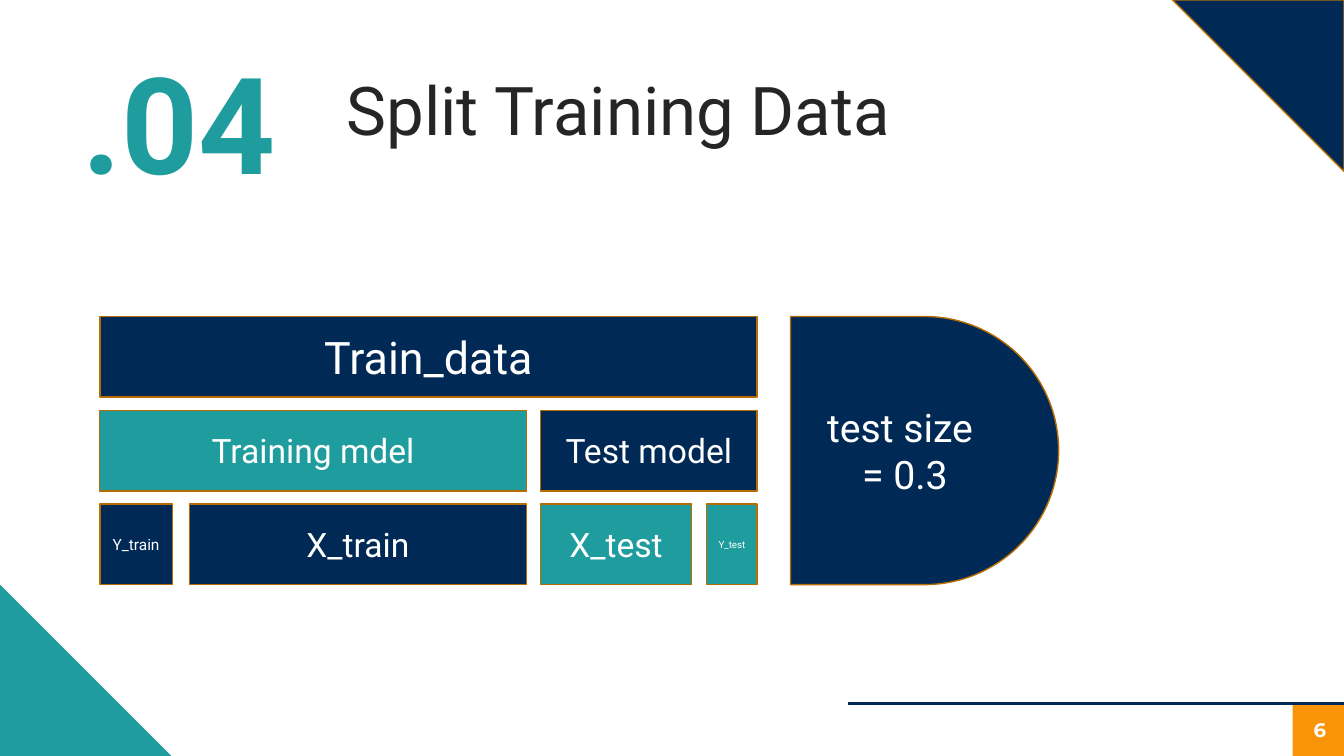
from lxml import etree
from pptx import Presentation
from pptx.dml.color import RGBColor
from pptx.enum.shapes import MSO_CONNECTOR, MSO_SHAPE
from pptx.enum.text import MSO_ANCHOR, PP_ALIGN
from pptx.oxml.ns import qn
from pptx.util import Inches, Pt

NAVY = RGBColor(0x00, 0x29, 0x56)
TEAL = RGBColor(0x1F, 0x9D, 0x9E)
ORANGE = RGBColor(0xF8, 0x94, 0x06)
BRONZE = RGBColor(0xB7, 0x6D, 0x04)
CHARCOAL = RGBColor(0x24, 0x25, 0x27)
WHITE = RGBColor(0xFF, 0xFF, 0xFF)

RECTANGLE = MSO_SHAPE.RECTANGLE
TRIANGLE = MSO_SHAPE.RIGHT_TRIANGLE
DELAY = MSO_SHAPE.FLOWCHART_DELAY
LEFT, CENTER, RIGHT = PP_ALIGN.LEFT, PP_ALIGN.CENTER, PP_ALIGN.RIGHT
MIDDLE = MSO_ANCHOR.MIDDLE

SLIDE_WIDTH, SLIDE_HEIGHT = 13.33, 7.5
CORNER = 1.7
BADGE = 0.51
ROW_TOP, ROW_HEIGHT, ROW_PITCH = 3.14, 0.8, 0.93
DELAY_SIZE = 2 * ROW_PITCH + ROW_HEIGHT

# Each row: label, left, width, fill, text size
SPLIT_ROWS = [
    [("Train_data", 0.99, 6.52, NAVY, 32)],
    [("Training mdel", 0.99, 4.23, TEAL, 24),
     ("Test model", 5.36, 2.15, NAVY, 24)],
    [("Y_train", 0.99, 0.72, NAVY, 11),
     ("X_train", 1.88, 3.34, NAVY, 24),
     ("X_test", 5.36, 1.5, TEAL, 24),
     ("Y_test", 7.01, 0.5, TEAL, 7)],
]


def write_lines(frame, lines, size, color, align, font="Roboto", bold=False):
    """Write one paragraph for each line."""
    for index, line in enumerate(lines):
        paragraph = frame.add_paragraph() if index else frame.paragraphs[0]
        paragraph.alignment = align
        run = paragraph.add_run()
        run.text = line
        run.font.name = font
        run.font.size = Pt(size)
        run.font.bold = bold
        run.font.color.rgb = color


def add_block(slide, kind, left, top, width, height, fill, outline=None):
    block = slide.shapes.add_shape(
        kind, Inches(left), Inches(top), Inches(width), Inches(height))
    block.shadow.inherit = False
    block.fill.solid()
    block.fill.fore_color.rgb = fill
    if outline is None:
        block.line.fill.background()
    else:
        block.line.color.rgb = outline
        block.line.width = Pt(1)
    return block


def add_labelled_block(slide, kind, left, top, width, height, fill, lines, size):
    block = add_block(slide, kind, left, top, width, height, fill, BRONZE)
    block.text_frame.vertical_anchor = MIDDLE
    write_lines(block.text_frame, lines, size, WHITE, CENTER)


def add_text(slide, left, top, width, height, text, size, color, align, **style):
    box = slide.shapes.add_textbox(
        Inches(left), Inches(top), Inches(width), Inches(height))
    box.text_frame.word_wrap = True
    write_lines(box.text_frame, [text], size, color, align, **style)


def add_footer_rule(slide, left, right, y):
    rule = slide.shapes.add_connector(
        MSO_CONNECTOR.STRAIGHT, Inches(left), Inches(y), Inches(right), Inches(y))
    rule.line.color.rgb = NAVY
    rule.line.width = Pt(2.25)
    etree.SubElement(rule._element.spPr, qn("a:effectLst"))


def add_split_diagram(slide):
    for index, row in enumerate(SPLIT_ROWS):
        top = ROW_TOP + index * ROW_PITCH
        for label, left, width, fill, size in row:
            add_labelled_block(slide, RECTANGLE, left, top, width, ROW_HEIGHT,
                               fill, [label], size)
    add_labelled_block(slide, DELAY, 7.84, ROW_TOP, DELAY_SIZE, DELAY_SIZE,
                       NAVY, ["test size ", "= 0.3"], 28)


def main():
    deck = Presentation()
    deck.slide_width = Inches(SLIDE_WIDTH)
    deck.slide_height = Inches(SLIDE_HEIGHT)
    slide = deck.slides.add_slide(deck.slide_layouts[6])

    add_block(slide, RECTANGLE, SLIDE_WIDTH - BADGE, SLIDE_HEIGHT - BADGE,
              BADGE, BADGE, ORANGE)
    add_text(slide, 12.84, 7.07, 0.5, 0.34, "6", 14, WHITE, CENTER,
             font="Montserrat", bold=True)
    add_text(slide, 2.78, 0.63, 6.15, 0.91, "Split Training Data", 48,
             CHARCOAL, RIGHT)
    add_text(slide, 0.72, 0.35, 2.51, 1.72, ".04", 96, TEAL, LEFT, bold=True)
    add_footer_rule(slide, 8.41, SLIDE_WIDTH, 6.98)

    add_split_diagram(slide)

    add_block(slide, TRIANGLE, 0, SLIDE_HEIGHT - CORNER, CORNER, CORNER, TEAL)
    top_corner = add_block(slide, TRIANGLE, SLIDE_WIDTH - CORNER, 0,
                           CORNER, CORNER, NAVY, BRONZE)
    top_corner.rotation = 180

    deck.save("out.pptx")


if __name__ == "__main__":
    main()
